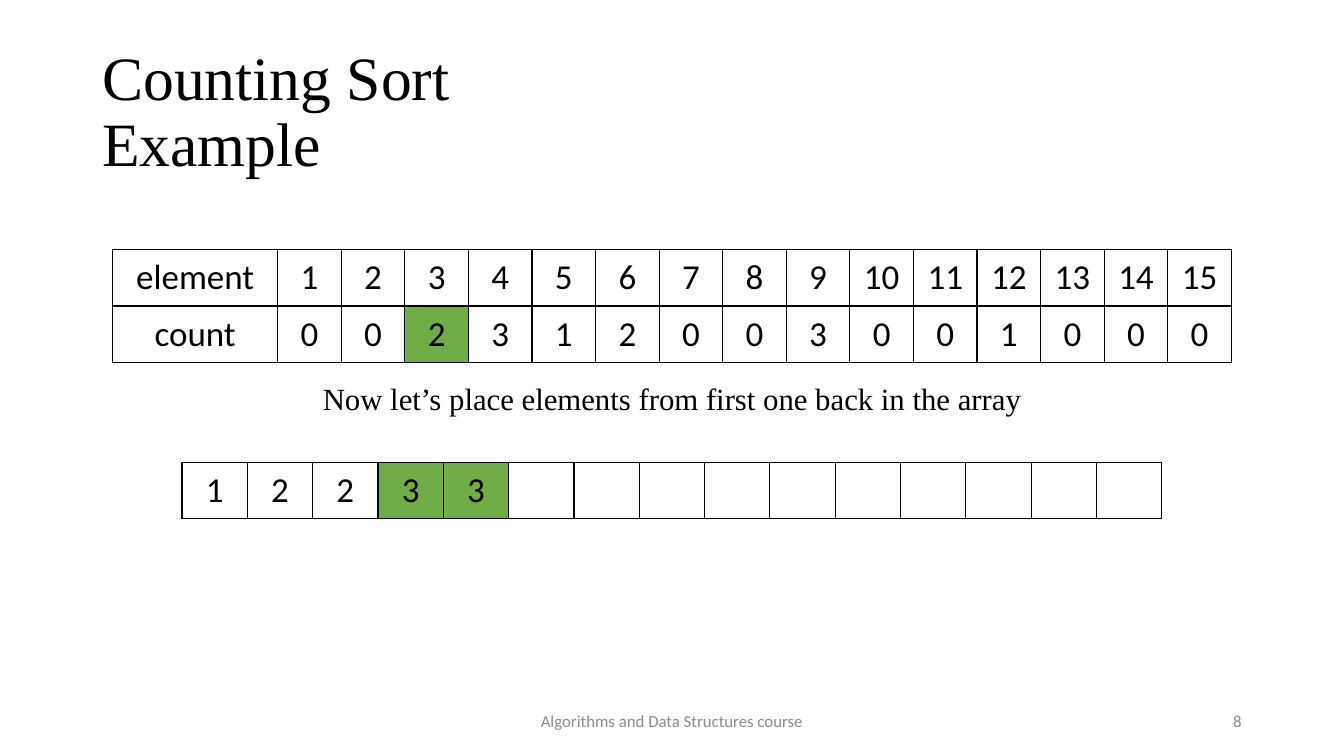
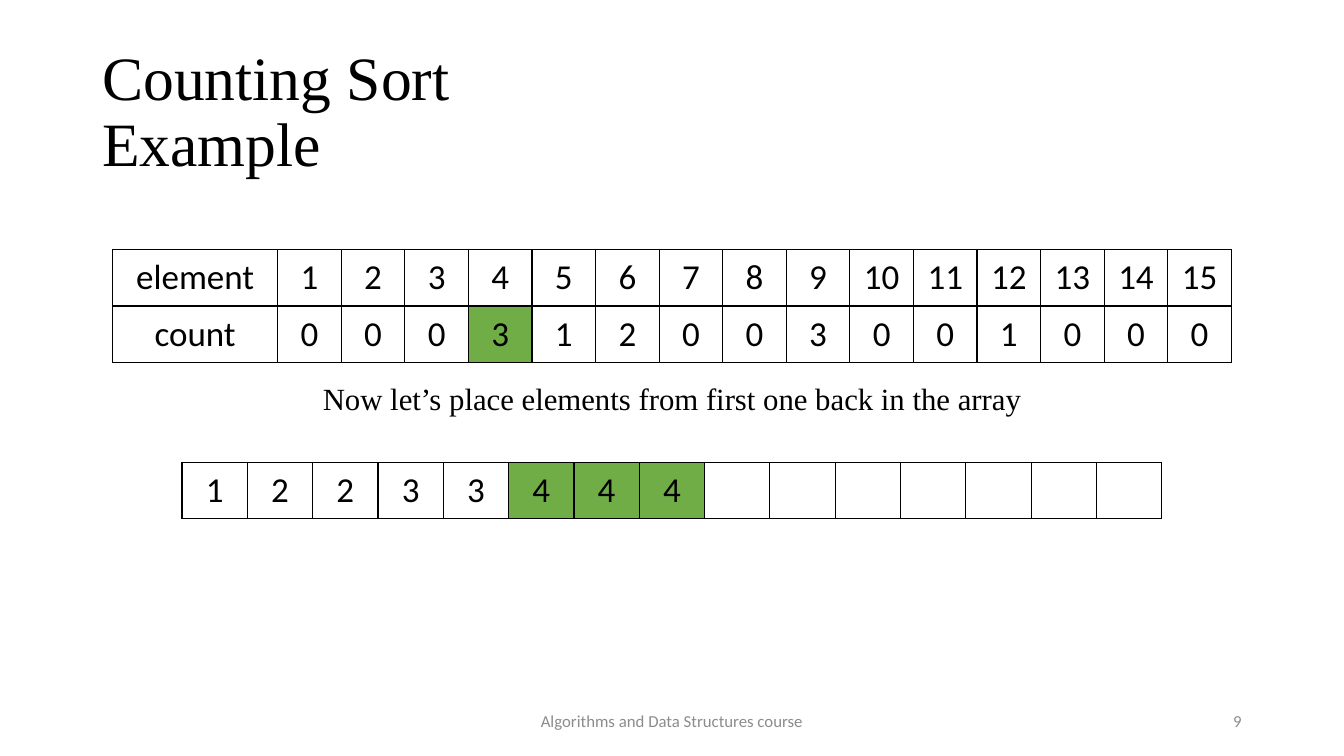
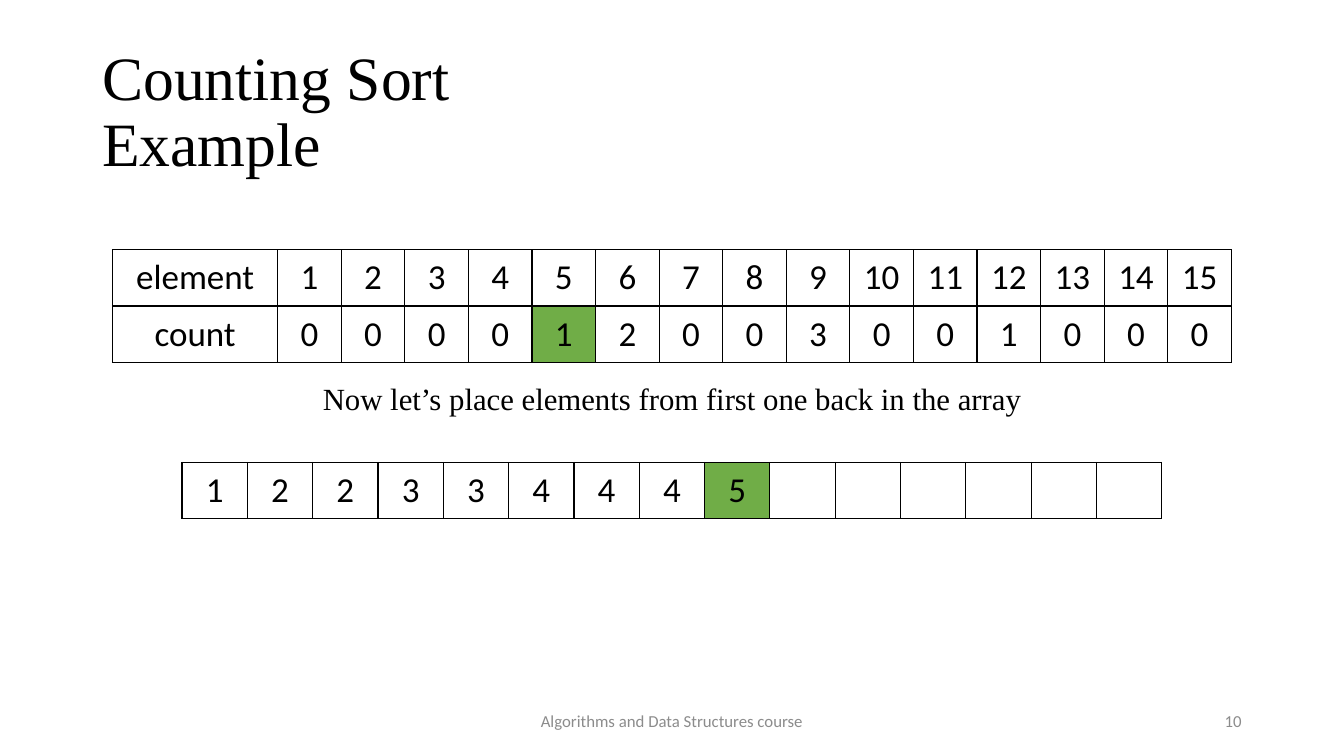
"""Build three steps of a counting sort example."""
from lxml import etree
from pptx import Presentation
from pptx.dml.color import RGBColor
from pptx.enum import text
from pptx.oxml import ns
from pptx.util import Pt

COLORS = {"ink": "000000", "paper": "FFFFFF", "muted": "8C8C8C", "mark": "70AD47"}
ALIGN = text.PP_ALIGN
MIDDLE = text.MSO_ANCHOR.MIDDLE
SERIF, SANS = "Times New Roman", "Calibri"

STYLES = {
    "title": dict(area=(66, 28.8, 828, 104.4), size=44, font=SERIF, color="ink",
                  align=ALIGN.LEFT, anchor=MIDDLE, spacing=0.9),
    "caption": dict(area=(66, 270.6, 828, 36.8), size=22, font=SERIF, color="ink",
                    align=ALIGN.CENTER, anchor=text.MSO_ANCHOR.TOP, spacing=0.9),
    "footer": dict(area=(318, 500.5, 324, 28.75), size=12, font=SANS, color="muted",
                   align=ALIGN.CENTER, anchor=MIDDLE, spacing=1.0),
    "number": dict(area=(678, 500.5, 216, 28.75), size=12, font=SANS, color="muted",
                   align=ALIGN.RIGHT, anchor=MIDDLE, spacing=1.0),
}
CELL_FORMAT = {"vertical_anchor": MIDDLE, "margin_left": Pt(9.84), "margin_right": Pt(9.84),
               "margin_top": Pt(4.92), "margin_bottom": Pt(4.92)}
CELL_SIZE, ROW_HEIGHT, BORDER = 25, 40.36, 1

TITLE = ["Counting Sort", "Example"]
CAPTION = "Now let’s place elements from first one back in the array"
FOOTER = "Algorithms and Data Structures course"
COUNTS = [1, 2, 2, 3, 1, 2, 0, 0, 3, 0, 0, 1, 0, 0, 0]
STEPS = [(8, 3), (9, 4), (10, 5)]

COUNT_TABLE = dict(left=80.4, top=178.3, widths=[118] + [45.42] * len(COUNTS))
ARRAY_TABLE = dict(left=130, top=330.3, widths=[46.67] * sum(COUNTS))


def apply_format(target, values):
    for name, value in values.items():
        setattr(target, name, value)


def write(para, words, size, font, color, align):
    para.alignment = align
    span = para.add_run()
    span.text = words
    apply_format(span.font, {"size": Pt(size), "name": font})
    span.font.color.rgb = RGBColor.from_string(COLORS[color])


def add_text(page, lines, style):
    box = page.shapes.add_textbox(*map(Pt, style["area"]))
    frame = box.text_frame
    apply_format(frame, {"word_wrap": True, "vertical_anchor": style["anchor"]})
    for index, line in enumerate(lines):
        para = frame.add_paragraph() if index else frame.paragraphs[0]
        para.line_spacing = style["spacing"]
        write(para, line, style["size"], style["font"], style["color"], style["align"])


def add_borders(cell):
    properties = cell._tc.get_or_add_tcPr()
    for side in ("lnL", "lnR", "lnT", "lnB"):
        line = etree.SubElement(properties, ns.qn(f"a:{side}"), w=str(Pt(BORDER)))
        fill = etree.SubElement(line, ns.qn("a:solidFill"))
        etree.SubElement(fill, ns.qn("a:srgbClr"), val=COLORS["ink"])


def add_grid(page, rows, marked, left, top, widths):
    frame = page.shapes.add_table(len(rows), len(widths), Pt(left), Pt(top),
                                  Pt(sum(widths)), Pt(ROW_HEIGHT * len(rows)))
    table = frame.table
    apply_format(table, {"first_row": False, "horz_banding": False})
    for column, width in zip(table.columns, widths):
        column.width = Pt(width)
    for r, values in enumerate(rows):
        table.rows[r].height = Pt(ROW_HEIGHT)
        for c, value in enumerate(values):
            cell = table.cell(r, c)
            apply_format(cell, CELL_FORMAT)
            add_borders(cell)
            cell.fill.solid()
            shade = "mark" if (r, c) in marked else "paper"
            cell.fill.fore_color.rgb = RGBColor.from_string(COLORS[shade])
            if value != "":
                write(cell.text_frame.paragraphs[0], str(value), CELL_SIZE, SANS,
                      "ink", ALIGN.CENTER)


def add_step(deck, number, current):
    page = deck.slides.add_slide(deck.slide_layouts[6])
    add_text(page, [CAPTION], STYLES["caption"])
    add_text(page, TITLE, STYLES["title"])
    add_text(page, [FOOTER], STYLES["footer"])
    add_text(page, [str(number)], STYLES["number"])

    elements = range(1, len(COUNTS) + 1)
    placed = [item for item in elements[:current] for _ in range(COUNTS[item - 1])]
    array = placed + [""] * (sum(COUNTS) - len(placed))
    new_cells = {(0, c) for c, item in enumerate(array) if item == current}
    add_grid(page, [array], new_cells, **ARRAY_TABLE)

    remaining = [0 if item < current else COUNTS[item - 1] for item in elements]
    rows = [["element", *elements], ["count", *remaining]]
    add_grid(page, rows, {(1, current)}, **COUNT_TABLE)


def main():
    deck = Presentation()
    apply_format(deck, {"slide_width": Pt(960), "slide_height": Pt(540)})
    for number, current in STEPS:
        add_step(deck, number, current)
    deck.save("out.pptx")


if __name__ == "__main__":
    main()
